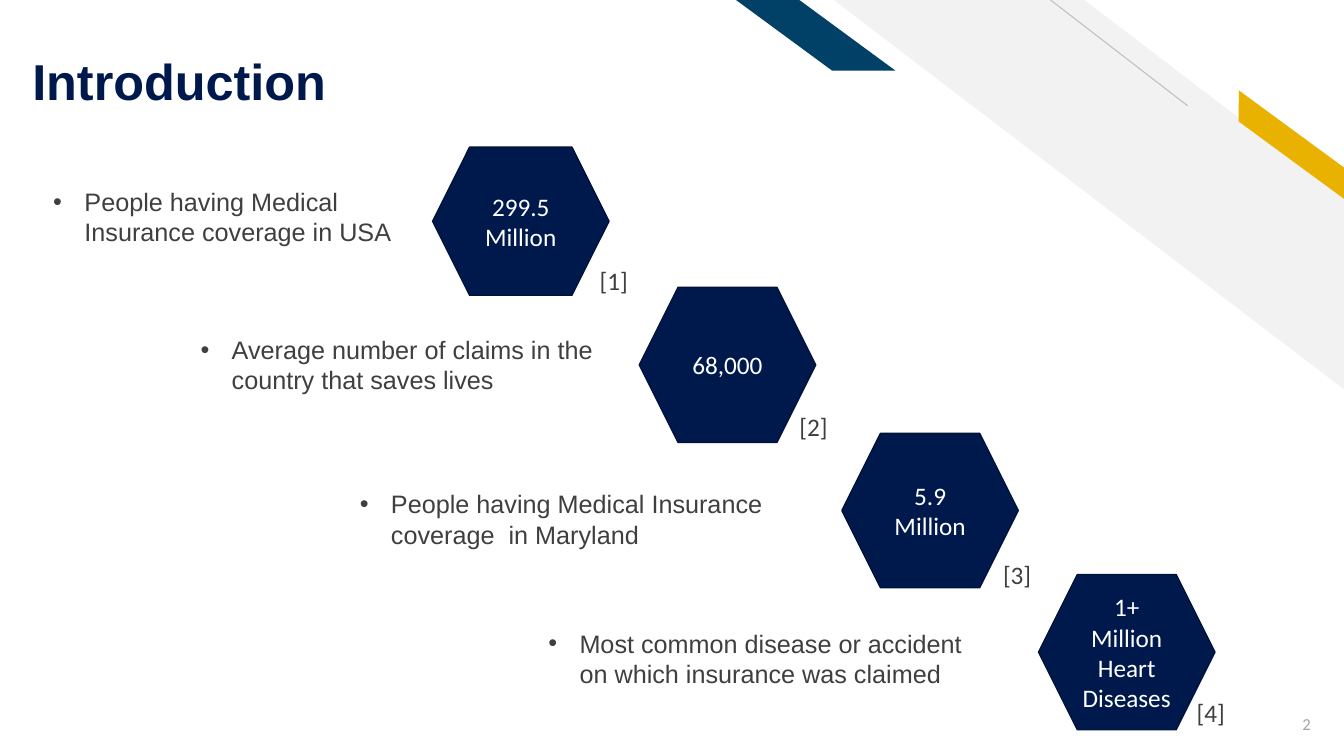
from lxml import etree
from pptx import Presentation
from pptx.dml.color import RGBColor
from pptx.enum.shapes import MSO_CONNECTOR, MSO_SHAPE as Preset
from pptx.enum.text import MSO_ANCHOR as Anchor, MSO_AUTO_SIZE as AutoSize, PP_ALIGN as Align
from pptx.oxml.ns import qn
from pptx.util import Inches, Pt

NAVY, GREY = "00194C", "3F3F3F"
FACT_FONT = {"name": "Arial", "size": Pt(18)}
FIGURE_FONT = {"name": "Calibri", "size": Pt(18)}
FRAME = {
    "word_wrap": True,
    "auto_size": AutoSize.NONE,
    "margin_left": Inches(0.1),
    "margin_right": Inches(0.1),
    "margin_top": Inches(0.05),
    "margin_bottom": Inches(0.05),
}
FACTS = [
    ("People having Medical Insurance coverage in USA", (0.43, 1.8, 3.9, 0.7),
     ["299.5", "Million"], (4.29, 1.46, 1.75, 1.47), (5.85, 2.58)),
    ("Average number of claims in the country that saves lives", (1.89, 3.27, 4.18, 0.7),
     ["68,000"], (6.34, 2.85, 1.75, 1.54), (7.83, 4.03)),
    ("People having Medical Insurance coverage  in Maryland", (3.47, 4.8, 4.36, 0.7),
     ["5.9", "Million"], (8.35, 4.3, 1.75, 1.53), (9.85, 5.5)),
    ("Most common disease or accident on which insurance was claimed", (5.34, 6.18, 4.64, 0.7),
     ["1+ Million", "Heart Diseases"], (10.3, 5.7, 1.75, 1.54), (11.77, 6.87)),
]


def rgb(value):
    return RGBColor.from_string(value)


def inches(values):
    return [Inches(value) for value in values]


def apply(target, values):
    for name, value in values.items():
        setattr(target, name, value)


def write(shape, lines, font, color, align=Align.LEFT, anchor=Anchor.TOP):
    frame = shape.text_frame
    apply(frame, {**FRAME, "vertical_anchor": anchor})
    for index, line in enumerate(lines):
        para = frame.add_paragraph() if index else frame.paragraphs[0]
        para.alignment = align
        span = para.add_run()
        span.text = line
        apply(span.font, font)
        span.font.color.rgb = rgb(color)


def add_text(page, place, line, font, color, **layout):
    box = page.shapes.add_textbox(*inches(place))
    write(box, [line], font, color, **layout)
    return box


def add_bullet(para):
    props = para._p.get_or_add_pPr()
    props.set("marL", str(Inches(0.31)))
    props.set("indent", str(-Inches(0.31)))
    bullet_color = etree.SubElement(props, qn("a:buClr"))
    etree.SubElement(bullet_color, qn("a:srgbClr"), val=GREY)
    etree.SubElement(props, qn("a:buFont"), typeface="Arial")
    etree.SubElement(props, qn("a:buChar"), char="•")


def add_preset(page, preset, place, fill, adjustments, line=None):
    shape = page.shapes.add_shape(preset, *inches(place))
    shape.shadow.inherit = False
    shape.fill.solid()
    shape.fill.fore_color.rgb = rgb(fill)
    for index, value in enumerate(adjustments):
        shape.adjustments[index] = value
    if line:
        shape.line.color.rgb = rgb(line)
        shape.line.width = Pt(1)
    else:
        shape.line.fill.background()
    return shape


def add_stripe(page, preset, place, fill, adjustment, rotation=0):
    stripe = add_preset(page, preset, place, fill, [adjustment])
    stripe.rotation = rotation
    stripe._element.spPr.find(qn("a:xfrm")).set("flipH", "1")


def add_thin_line(page, start, end):
    line = page.shapes.add_connector(MSO_CONNECTOR.STRAIGHT, *inches(start + end))
    line.line.color.rgb = rgb("BFBFBF")
    line.line.width = Pt(0.75)
    etree.SubElement(line._element.spPr, qn("a:effectLst"))


def add_decoration(page):
    add_stripe(page, Preset.DIAGONAL_STRIPE, (8.27, 0, 5.07, 3.87), "F2F2F2", 0.51)
    add_thin_line(page, (10.42, 0), (11.78, 1.05))
    add_stripe(page, Preset.PARALLELOGRAM, (12.07, 1.31, 1.48, 0.25), "EAB200", 0.72, 36.3)
    add_stripe(page, Preset.PARALLELOGRAM, (7.3, 0, 1.58, 0.7), "014067", 1.36)


def add_title(page, text):
    title = page.shapes.title
    left, top, width, height = inches((0.22, -0.15, 9.11, 1.26))
    apply(title, {"left": left, "top": top, "width": width, "height": height})
    write(title, [text], {"name": "Arial", "size": Pt(36), "bold": True}, NAVY, anchor=Anchor.BOTTOM)
    title.text_frame.margin_bottom = 0
    title.text_frame.paragraphs[0].line_spacing = 0.9


def add_fact(page, number, fact, fact_place, figure, figure_place, reference_corner):
    box = add_text(page, fact_place, fact, FACT_FONT, GREY)
    add_bullet(box.text_frame.paragraphs[0])
    hexagon = add_preset(page, Preset.HEXAGON, figure_place, NAVY, [0.25, 1.155], "001238")
    write(hexagon, figure, FIGURE_FONT, "FFFFFF", Align.CENTER, Anchor.MIDDLE)
    add_text(page, reference_corner + (0.57, 0.4), f"[{number}]", FIGURE_FONT, GREY)


def main():
    deck = Presentation()
    deck.slide_width, deck.slide_height = inches((13.33, 7.5))
    page = deck.slides.add_slide(deck.slide_layouts[5])
    add_decoration(page)
    add_title(page, "Introduction")
    for number, fact in enumerate(FACTS, 1):
        add_fact(page, number, *fact)
    add_text(page, (12.29, 6.98, 0.81, 0.4), "2", {"name": "Calibri", "size": Pt(12)}, "A5A5A5",
             align=Align.RIGHT, anchor=Anchor.MIDDLE)
    deck.save("out.pptx")


if __name__ == "__main__":
    main()
